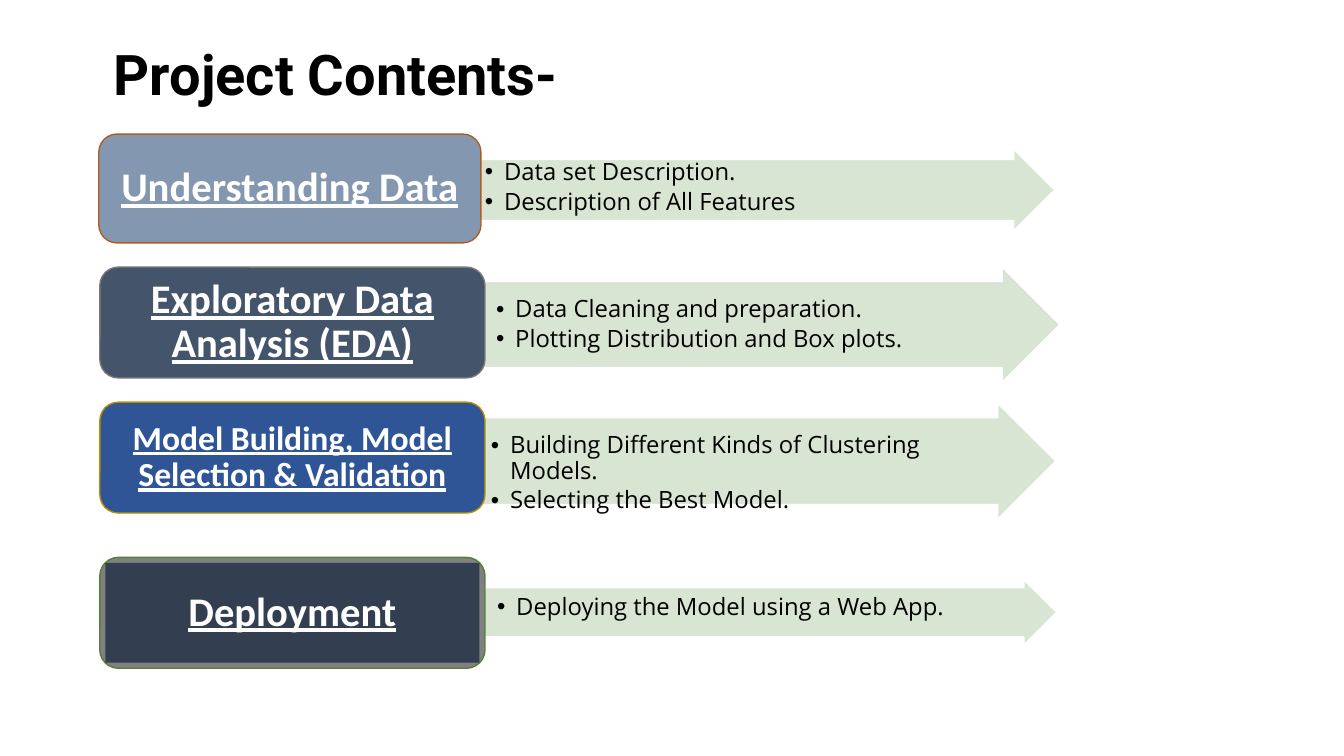
from lxml.etree import SubElement
from pptx import Presentation
from pptx.dml.color import RGBColor
from pptx.enum.shapes import MSO_SHAPE
from pptx.enum.text import MSO_ANCHOR, MSO_AUTO_SIZE, PP_ALIGN
from pptx.oxml.ns import qn
from pptx.util import Inches, Pt

COLORS = {
    "black": "000000", "white": "FFFFFF", "arrow": "D5E3CF",
    "steel": "8497B0", "slate": "44546A", "blue": "2F5597",
    "gray": "808080", "navy": "333F50", "rust": "AF5C24",
    "ash": "7A7A7A", "gold": "BD8E00", "green": "538035",
}

# label, size, card fill, panel fill, outline, card box, arrow box, list box, bullets
STAGES = [
    ("Understanding Data", 29, "steel", "steel", "rust",
     (0.98, 1.33, 3.79, 1.08), (4.73, 1.48, 5.73, 0.81), (4.8, 1.58, 5.35, 0.61),
     ["Data set Description.", "Description of All Features"]),
    ("Exploratory Data Analysis (EDA)", 29, "slate", "slate", "ash",
     (0.99, 2.65, 3.82, 1.1), (4.79, 2.65, 5.72, 1.14), (4.91, 2.94, 5.13, 0.85),
     ["Data Cleaning and preparation.", "Plotting Distribution and Box plots."]),
    ("Model Building, Model Selection & Validation", 24, "blue", "blue", "gold",
     (0.99, 3.99, 3.82, 1.1), (4.75, 4, 5.72, 1.15), (4.86, 4.29, 5.19, 0.86),
     ["Building Different Kinds of Clustering Models.", "Selecting the Best Model."]),
    ("Deployment", 29, "gray", "navy", "green",
     (0.99, 5.53, 3.82, 1.1), (4.75, 5.75, 5.73, 0.65), (4.92, 5.89, 5.32, 0.43),
     ["Deploying the Model using a Web App."]),
]
PANEL_INSET = 0.055


def color(name):
    return RGBColor.from_string(COLORS[name])


class ContentsSlide:
    def __init__(self, presentation):
        # The Comparison layout offers a title and four body placeholders.
        self.slide = presentation.slides.add_slide(presentation.slide_layouts[4])
        self.bodies = [placeholder for placeholder in self.slide.placeholders
                       if placeholder.placeholder_format.idx > 0]

    def place(self, shape, box):
        shape.left, shape.top, shape.width, shape.height = map(Inches, box)

    def prepare_frame(self, shape, anchor, horizontal, vertical):
        frame = shape.text_frame
        frame.word_wrap = True
        frame.auto_size = MSO_AUTO_SIZE.NONE
        frame.vertical_anchor = anchor
        frame.margin_left = frame.margin_right = Inches(horizontal)
        frame.margin_top = frame.margin_bottom = Inches(vertical)
        return frame

    def format_paragraph(self, paragraph, font_name, size, ink, bold=False,
                         underline=False, align=PP_ALIGN.LEFT, spacing=0.9, after=0):
        paragraph.alignment = align
        paragraph.line_spacing = spacing
        paragraph.space_before = Pt(0)
        paragraph.space_after = Pt(after)
        for run in paragraph.runs:
            font = run.font
            font.name, font.size = font_name, Pt(size)
            font.bold, font.underline = bold, underline
            font.color.rgb = color(ink)

    def title(self, text, box):
        shape = self.slide.shapes.title
        self.place(shape, box)
        frame = self.prepare_frame(shape, MSO_ANCHOR.TOP, 0.1, 0.05)
        frame.text = text
        self.format_paragraph(frame.paragraphs[0], "Roboto", 40, "black",
                              bold=True, spacing=1.0)

    def shape(self, kind, box, fill, line=None):
        shape = self.slide.shapes.add_shape(kind, *map(Inches, box))
        shape.shadow.inherit = False
        shape.fill.solid()
        shape.fill.fore_color.rgb = color(fill)
        if line:
            shape.line.color.rgb = color(line)
            shape.line.width = Pt(1)
        else:
            shape.line.fill.background()
        return shape

    def arrow(self, box):
        arrow = self.shape(MSO_SHAPE.RIGHT_ARROW, box, "arrow", "white")
        arrow.adjustments[0] = 0.75
        arrow.adjustments[1] = 0.5
        fill_color = arrow.fill._xPr.find(qn("a:solidFill"))[0]
        SubElement(fill_color, qn("a:alpha"), val="90000")

    def card(self, label, size, fill, panel_fill, line, box):
        """Draw a rounded card with the labelled panel inside it."""
        self.shape(MSO_SHAPE.ROUNDED_RECTANGLE, box, fill, line)
        left, top, width, height = box
        panel = self.shape(MSO_SHAPE.RECTANGLE, (
            left + PANEL_INSET, top + PANEL_INSET,
            width - 2 * PANEL_INSET, height - 2 * PANEL_INSET), panel_fill)
        frame = self.prepare_frame(panel, MSO_ANCHOR.MIDDLE, 0.12, 0.06)
        frame.text = label
        self.format_paragraph(frame.paragraphs[0], "Calibri", size, "white",
                              bold=True, underline=True, align=PP_ALIGN.CENTER)

    def bullets(self, items, box):
        """Fill the next body placeholder and bring it in front of its arrow."""
        body = self.bodies.pop(0)
        self.place(body, box)
        body.element.getparent().append(body.element)
        frame = self.prepare_frame(body, MSO_ANCHOR.TOP, 0.01, 0.01)
        frame.text = "\n".join(items)
        for paragraph in frame.paragraphs:
            self.format_paragraph(paragraph, "Open Sans", 17, "black", after=2.5)
            properties = paragraph._p.get_or_add_pPr()
            properties.set("marL", str(Inches(0.19)))
            properties.set("indent", str(-Inches(0.19)))
            SubElement(properties, qn("a:buFont"), typeface="Arial")
            SubElement(properties, qn("a:buChar"), char="•")


def main():
    presentation = Presentation()
    presentation.slide_width = Inches(13.33)
    presentation.slide_height = Inches(7.5)
    contents = ContentsSlide(presentation)
    contents.title("Project Contents-", (1.03, 0.34, 6.67, 0.77))
    for label, size, fill, panel, line, card_box, arrow_box, list_box, items in STAGES:
        contents.arrow(arrow_box)
        contents.bullets(items, list_box)
        contents.card(label, size, fill, panel, line, card_box)
    presentation.save("out.pptx")


if __name__ == "__main__":
    main()
